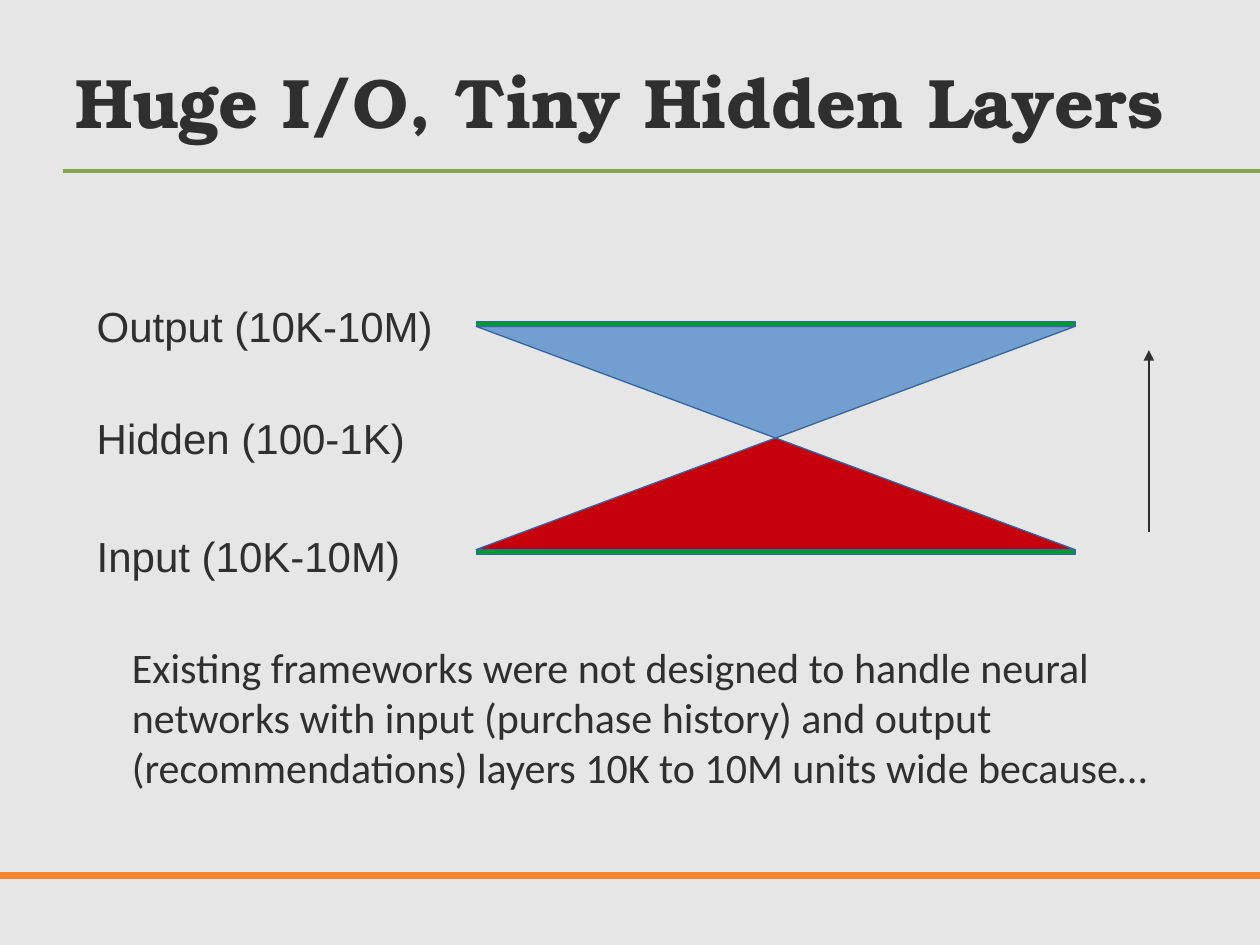
import lxml.etree
import pptx
import pptx.dml.color
import pptx.enum.shapes
import pptx.enum.text
import pptx.oxml.ns
import pptx.util
from dataclasses import dataclass

Cm = pptx.util.Cm
Shape = pptx.enum.shapes.MSO_SHAPE
Anchor = pptx.enum.text.MSO_ANCHOR

HEADING = "Huge I/O, Tiny Hidden Layers"
LAYERS = [
    ("Output (10K-10M)", 5.94),
    ("Hidden (100-1K)", 8.2),
    ("Input (10K-10M)", 10.57),
]
EXPLANATION = (
    "Existing frameworks were not designed to handle neural networks with input "
    "(purchase history) and output (recommendations) layers 10K to 10M units wide because…"
)


@dataclass(frozen=True)
class Theme:
    background: str = "E6E6E6"
    ink: str = "2F2F2F"
    heading_rule: str = "82A74C"
    footer_rule: str = "F3852E"
    layer: str = "009933"
    decoder: str = "729FCF"
    encoder: str = "C5000B"
    outline: str = "3465A4"
    heading_font: str = "TeX Gyre Bonum"
    label_font: str = "Arial"
    body_font: str = "Calibri"
    heading_size: float = 40
    text_size: float = 24
    thin: float = 0.75


THEME = Theme()
SLIDE_W, SLIDE_H = 25.4, 19.05
NETWORK_X, NETWORK_Y, NETWORK_W = 9.6, 6.48, 12.07
LAYER_H, FUNNEL_H = 0.1, 2.25


def rgb(value):
    return pptx.dml.color.RGBColor.from_string(value)


def add_text(slide, text, box, font, size, bold=False, anchor=Anchor.TOP):
    frame = slide.shapes.add_textbox(*map(Cm, box)).text_frame
    frame.word_wrap = True
    frame.vertical_anchor = anchor
    paragraph = frame.paragraphs[0]
    paragraph.text = text
    paragraph.font.name = font
    paragraph.font.size = pptx.util.Pt(size)
    paragraph.font.bold = bold
    paragraph.font.color.rgb = rgb(THEME.ink)


def add_line(slide, start, end, color, width, arrow=False):
    line = slide.shapes.add_connector(
        pptx.enum.shapes.MSO_CONNECTOR.STRAIGHT, *map(Cm, start + end)
    )
    line.line.color.rgb = rgb(color)
    line.line.width = pptx.util.Pt(width)
    qn = pptx.oxml.ns.qn
    if arrow:
        lxml.etree.SubElement(line.line._get_or_add_ln(), qn("a:tailEnd"), type="triangle")
    lxml.etree.SubElement(line._element.spPr, qn("a:effectLst"))


def add_part(slide, preset, top, height, color, rotation=0):
    part = slide.shapes.add_shape(
        preset, *map(Cm, (NETWORK_X, top, NETWORK_W, height))
    )
    part.rotation = rotation
    part.shadow.inherit = False
    part.fill.solid()
    part.fill.fore_color.rgb = rgb(color)
    part.line.color.rgb = rgb(THEME.outline)
    part.line.width = pptx.util.Pt(THEME.thin)


def add_network(slide):
    decoder_top = NETWORK_Y + LAYER_H
    encoder_top = decoder_top + FUNNEL_H
    input_top = encoder_top + FUNNEL_H
    for layer_top in (NETWORK_Y, input_top):
        add_part(slide, Shape.RECTANGLE, layer_top, LAYER_H, THEME.layer)
    add_part(slide, Shape.ISOSCELES_TRIANGLE, encoder_top, FUNNEL_H, THEME.encoder)
    add_part(slide, Shape.ISOSCELES_TRIANGLE, decoder_top, FUNNEL_H, THEME.decoder, 180)


def main():
    deck = pptx.Presentation()
    deck.slide_width, deck.slide_height = Cm(SLIDE_W), Cm(SLIDE_H)
    slide = deck.slides.add_slide(deck.slide_layouts[6])
    slide.background.fill.solid()
    slide.background.fill.fore_color.rgb = rgb(THEME.background)

    add_line(slide, (1.27, 3.45), (SLIDE_W, 3.45), THEME.heading_rule, 2.25)
    add_line(slide, (0, 17.65), (SLIDE_W, 17.65), THEME.footer_rule, 4.5)
    add_text(slide, HEADING, (1.27, 0.61, 22.86, 2.84), THEME.heading_font,
             THEME.heading_size, bold=True, anchor=Anchor.MIDDLE)

    add_line(slide, (23.16, 10.72), (23.16, 7.06), THEME.ink, THEME.thin, arrow=True)
    for label, top in LAYERS:
        add_text(slide, label, (1.7, top, 7.4, 1.14), THEME.label_font, THEME.text_size)
    add_network(slide)
    add_text(slide, EXPLANATION, (2.41, 12.8, 20.98, 4.37), THEME.body_font, THEME.text_size)

    deck.save("out.pptx")


if __name__ == "__main__":
    main()
